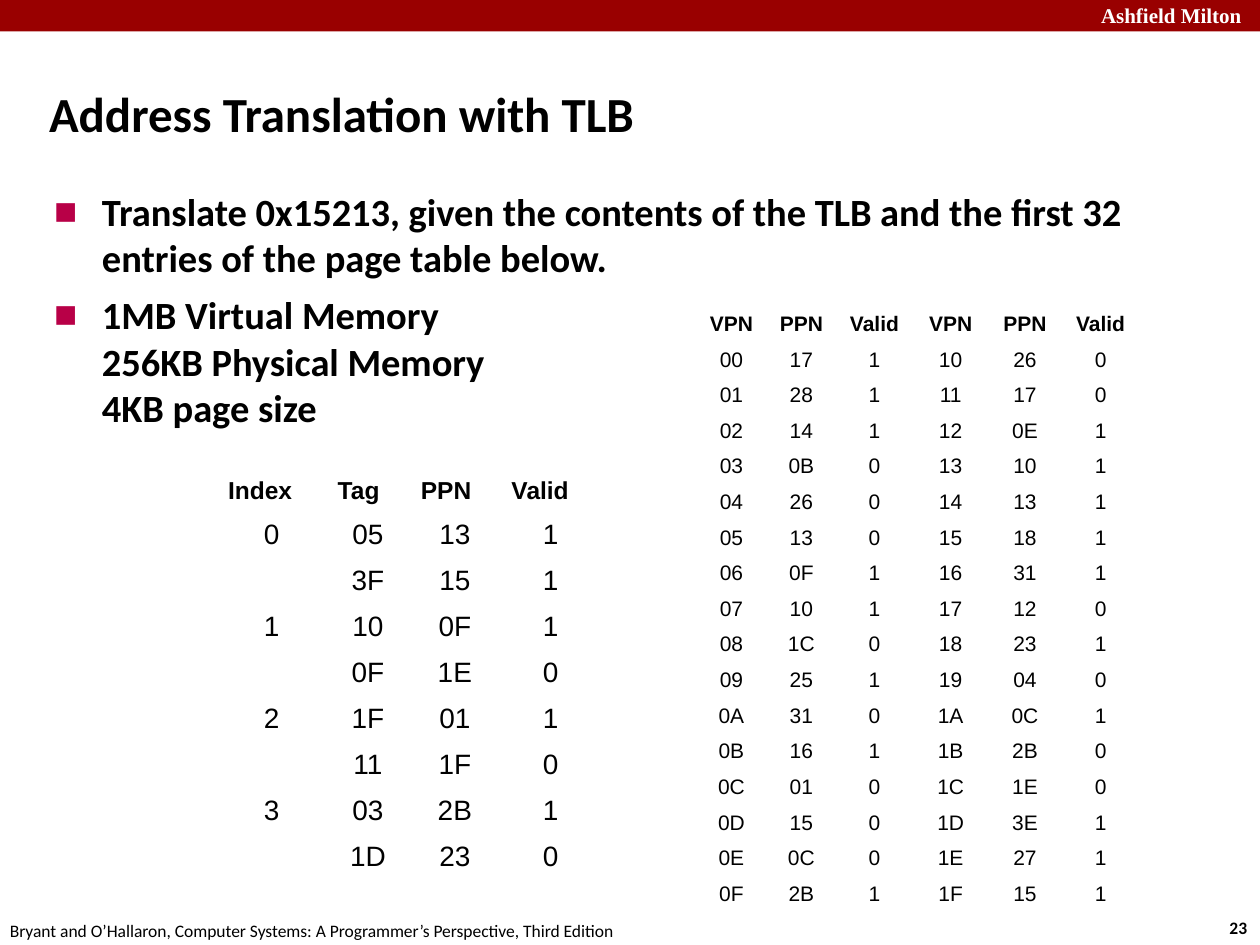
from dataclasses import dataclass

from lxml.etree import SubElement
from pptx import Presentation
from pptx.dml.color import RGBColor
from pptx.enum.shapes import MSO_SHAPE as Preset
from pptx.enum.text import MSO_ANCHOR as Anchor, PP_ALIGN as Align
from pptx.oxml.ns import qn
from pptx.util import Inches, Pt


@dataclass(frozen=True)
class Theme:
    black: str = "000000"
    white: str = "FFFFFF"
    banner: str = "990000"
    bullet: str = "B80047"
    sans: str = "Calibri"
    serif: str = "Times New Roman"
    data: str = "Arial"
    title: float = 28
    body: float = 22
    tlb_entry: float = 16
    tlb_head: float = 14
    small: float = 12
    footer: float = 10


THEME = Theme()
COLUMNS, ROWS = 100, 75  # grid laid over the slide
WIDTH, HEIGHT = Inches(10), Inches(7.5)

BODY = [
    "Translate 0x15213, given the contents of the TLB and the first 32 "
    "entries of the page table below.",
    "1MB Virtual Memory\v256KB Physical Memory\v4KB page size",
]
TLB_HEAD = ["Index", "Tag", "PPN", "Valid"]
TLB_ENTRIES = ["05 13 1", "3F 15 1", "10 0F 1", "0F 1E 0",
               "1F 01 1", "11 1F 0", "03 2B 1", "1D 23 0"]
PAGE_HEAD = ["VPN", "PPN", "Valid"] * 2
# PPN of each virtual page in order, then its valid bit
PAGE_PPNS = ("17 28 14 0B 26 13 0F 10 1C 25 31 16 01 15 0C 2B "
             "26 17 0E 10 13 18 31 12 23 04 0C 2B 1E 3E 27 15").split()
PAGE_VALID = "1110001101010001" "0011111010100111"


def across(columns):
    return round(WIDTH * columns / COLUMNS)


def down(rows):
    return round(HEIGHT * rows / ROWS)


def grid_box(left, top, width, height):
    return across(left), down(top), across(width), down(height)


def apply(target, formats):
    for name, value in formats.items():
        setattr(target, name, value)


def style(paragraph, size, font=THEME.sans, color=THEME.black, bold=True):
    for run in paragraph.runs:
        apply(run.font, dict(size=Pt(size), name=font, bold=bold))
        run.font.color.rgb = RGBColor.from_string(color)


def add_text(slide, box, paragraphs, inset=(0, 0), anchor=Anchor.TOP, **look):
    frame = slide.shapes.add_textbox(*grid_box(*box)).text_frame
    side, edge = (Inches(length) for length in inset)
    apply(frame, dict(word_wrap=True, vertical_anchor=anchor,
                      margin_left=side, margin_right=side,
                      margin_top=edge, margin_bottom=edge))
    for number, text in enumerate(paragraphs):
        paragraph = frame.add_paragraph() if number else frame.paragraphs[0]
        paragraph.text = text
        style(paragraph, **look)
    return frame


def add_bullet(paragraph, hang):
    properties = paragraph._p.get_or_add_pPr()
    properties.set("marL", str(hang))
    properties.set("indent", str(-hang))
    color = SubElement(properties, qn("a:buClr"))
    SubElement(color, qn("a:srgbClr")).set("val", THEME.bullet)
    SubElement(properties, qn("a:buFont")).set("typeface", THEME.data)
    SubElement(properties, qn("a:buChar")).set("char", "■")


def add_banner(slide):
    banner = slide.shapes.add_shape(Preset.RECTANGLE,
                                    *grid_box(0, 0, COLUMNS, 2.5))
    banner.shadow.inherit = False
    banner.fill.solid()
    banner.fill.fore_color.rgb = RGBColor.from_string(THEME.banner)
    banner.line.fill.background()


def fill_cell(cell, text, size, bold, align):
    apply(cell, dict(margin_left=Pt(6.5), margin_right=Pt(6.5),
                     margin_top=Pt(2.8), margin_bottom=Pt(2.8)))
    cell.fill.background()
    paragraph = cell.text_frame.paragraphs[0]
    paragraph.alignment = align
    if text:
        paragraph.text = text
        style(paragraph, size, THEME.data, bold=bold)
    else:  # keeps an empty cell from stretching its row
        SubElement(paragraph._p, qn("a:endParaRPr")).set("sz", str(size * 100))


def add_data_table(slide, corner, widths, heights, head, entries,
                   head_size, entry_size, head_align=Align.CENTER):
    head_height, entry_height = heights
    records = [head, *entries]
    box = grid_box(*corner, sum(widths),
                   head_height + entry_height * len(entries))
    table = slide.shapes.add_table(len(records), len(head), *box).table
    apply(table, dict(first_row=False, horz_banding=False))
    for column, width in zip(table.columns, widths):
        column.width = across(width)
    for number, (row, record) in enumerate(zip(table.rows, records)):
        is_head = number == 0
        row.height = down(head_height if is_head else entry_height)
        for cell, text in zip(row.cells, record):
            fill_cell(cell, text, head_size if is_head else entry_size,
                      is_head, head_align if is_head else Align.CENTER)


def tlb_records():
    """Two entries per set; the set index shows on the first only."""
    return [["" if number % 2 else str(number // 2), *entry.split()]
            for number, entry in enumerate(TLB_ENTRIES)]


def page_records():
    """Two halves of the page table side by side."""
    pages = [[f"{vpn:02X}", ppn, valid] for vpn, (ppn, valid)
             in enumerate(zip(PAGE_PPNS, PAGE_VALID))]
    half = len(pages) // 2
    return [left + right for left, right in zip(pages[:half], pages[half:])]


def main():
    deck = Presentation()
    apply(deck, dict(slide_width=WIDTH, slide_height=HEIGHT))
    slide = deck.slides.add_slide(deck.slide_layouts[6])

    # Banner and footer
    edge = (0.1, 0.05)
    add_banner(slide)
    add_text(slide, (86.4, -0.3, 14.3, 3), ["Ashfield Milton"], edge,
             size=THEME.small, font=THEME.serif, color=THEME.white)
    add_text(slide, (96.6, 72.3, 3.7, 2.7), ["23"], edge, size=THEME.footer)
    add_text(slide, (-0.2, 72.5, 50.8, 2.7),
             ["Bryant and O’Hallaron, Computer Systems: "
              "A Programmer’s Perspective, Third Edition"],
             edge, size=THEME.footer, bold=False)

    # Title and bullets
    add_text(slide, (3.9, 6.6, 83, 4.7), ["Address Translation with TLB"],
             anchor=Anchor.MIDDLE, size=THEME.title)
    body = add_text(slide, (4.3, 14.9, 86.4, 54.4), BODY, size=THEME.body)
    body.paragraphs[1].space_before = Pt(6.5)
    for paragraph in body.paragraphs:
        add_bullet(paragraph, across(3.8))

    # TLB contents
    add_data_table(slide, (17.2, 37.5), [8.7, 6.6, 7.2, 8], (3.3, 3.66),
                   TLB_HEAD, tlb_records(), THEME.tlb_head, THEME.tlb_entry,
                   Align.LEFT)

    # First 32 page table entries
    add_data_table(slide, (55.4, 24.4), [5.3, 5.8, 5.8, 6.3, 5.5, 6.5],
                   (2.83, 2.83), PAGE_HEAD, page_records(),
                   THEME.small, THEME.small)

    deck.save("out.pptx")


if __name__ == "__main__":
    main()
